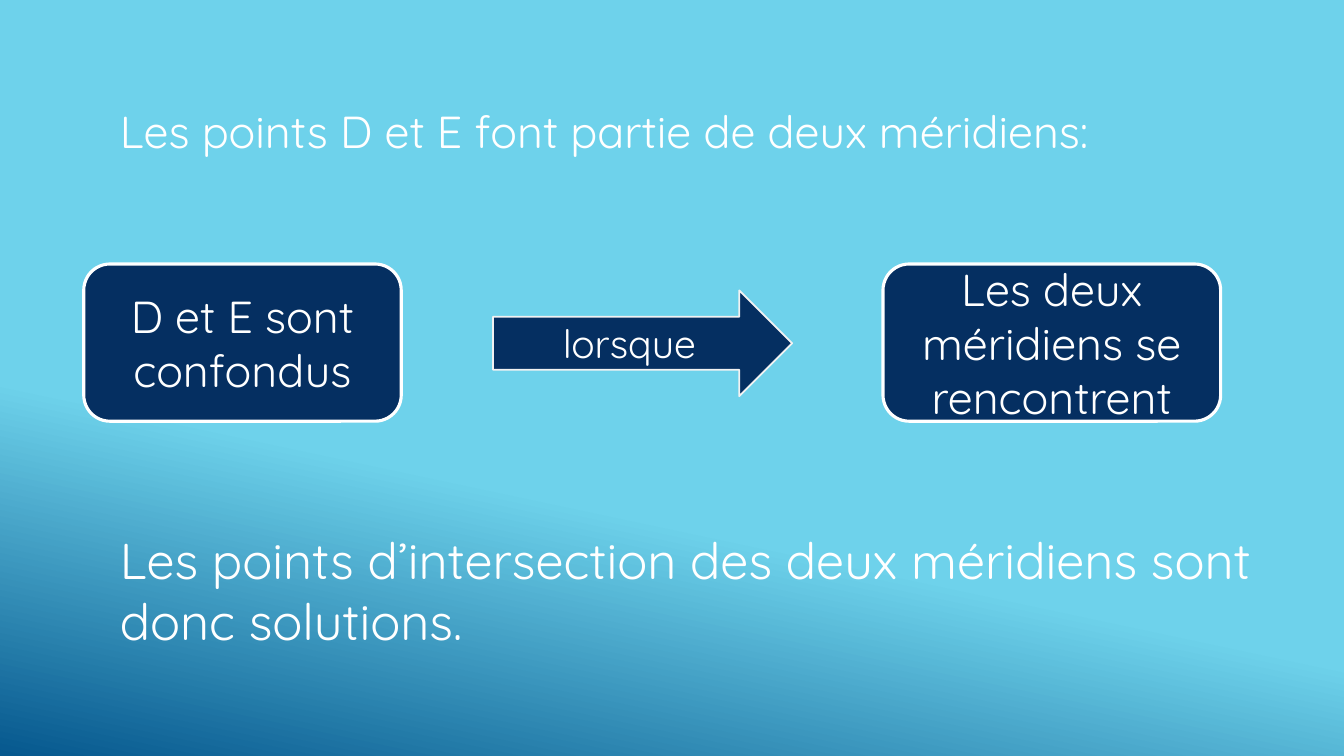
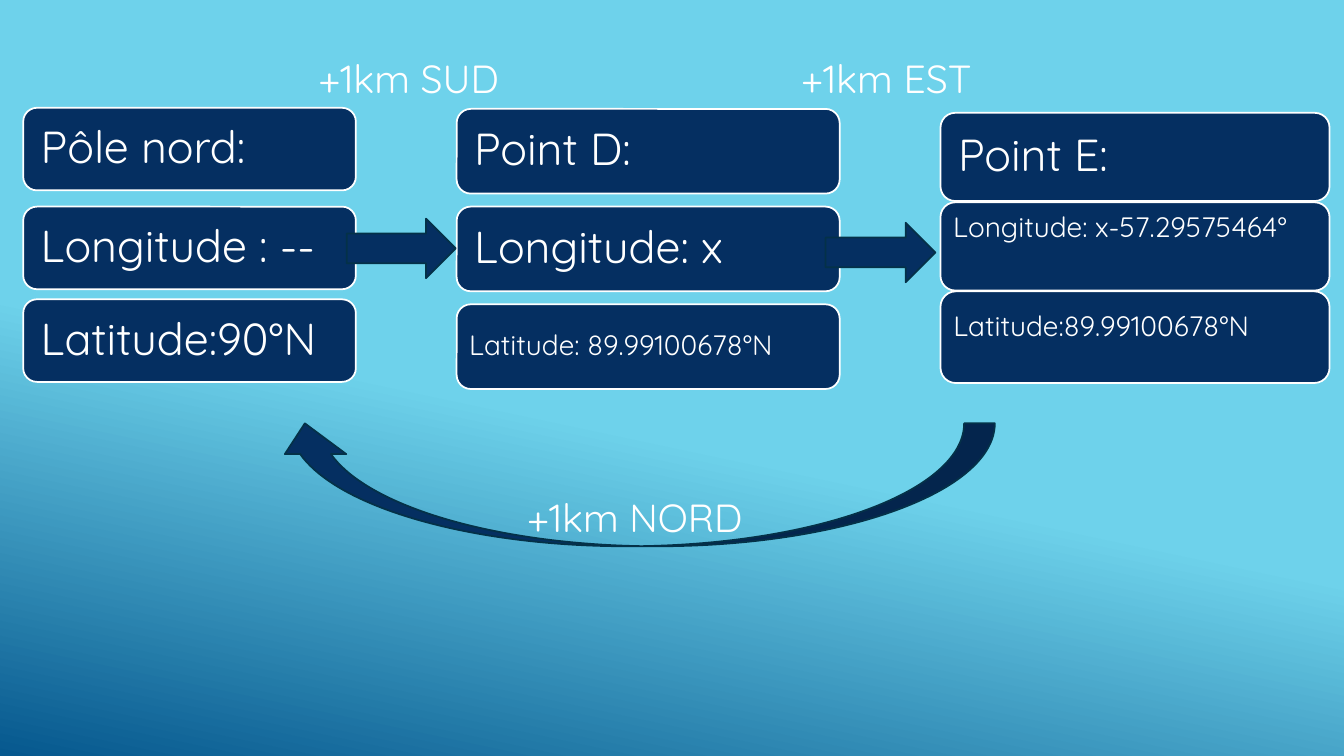
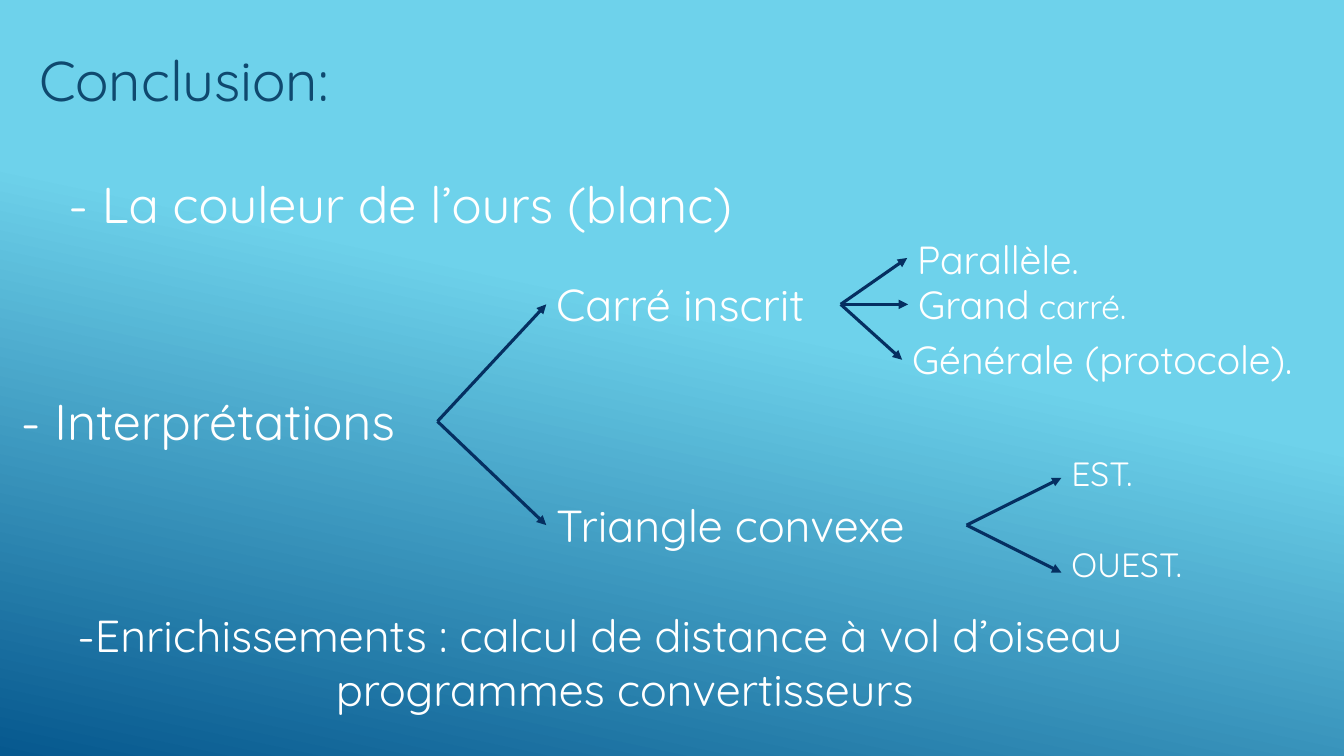
"""Build three slides on meridians, the bear's walk and the conclusion."""
from dataclasses import dataclass

from lxml.etree import SubElement
from pptx import Presentation
from pptx.dml.color import RGBColor
from pptx.enum.shapes import MSO_CONNECTOR as Connector, MSO_SHAPE as Shape
from pptx.enum.text import MSO_ANCHOR as Anchor, MSO_AUTO_SIZE as AutoSize, PP_ALIGN as Align
from pptx.oxml.ns import qn
from pptx.util import Pt


@dataclass(frozen=True)
class Theme:
    """Colours, font and type sizes shared by the slides."""
    font: str = "Quicksand"
    white: str = "FFFFFF"
    pale: str = "F2F2F2"
    navy: str = "052F61"
    outline: str = "043148"
    heading: str = "0F496F"
    sky: str = "6ED2EB"
    deep: str = "06588E"
    gradient_angle: int = 258
    title: int = 40
    lead: int = 36
    body: int = 32
    label: int = 28
    small: int = 24
    detail: int = 20
    thick: float = 2.25
    thin: float = 1.25


THEME = Theme()

MERIDIAN_TEXTS = [
    ("Les points D et E font partie de deux méridiens:", (78.5, 70.6, 760.3, 46), THEME.body),
    ("Les points d’intersection des deux méridiens sont donc solutions.",
     (78.5, 374.4, 825.1, 94.3), THEME.lead),
]
MERIDIAN_BOXES = [
    ("D et E sont confondus", (59.8, 188.6, 226.8, 112.3)),
    ("Les deux méridiens se rencontrent", (630.7, 188.6, 241.2, 112.3)),
]
MERIDIAN_ARROW = ("lorsque", (352.1, 207.4, 213.8, 75.6))

PLACES = [
    {"left": 16.6, "width": 237.6, "cells": [
        ("Pôle nord:", 77, 59, THEME.body, 0),
        ("Longitude : --", 147.6, 59, THEME.body, 0),
        ("Latitude:90°N", 213.8, 59, THEME.body, 0)]},
    {"left": 326.2, "width": 273.6, "cells": [
        ("Point D:", 77.8, 60.5, THEME.body, 0),
        ("Longitude: x", 147.6, 60.5, THEME.body, 0),
        ("Latitude: 89.99100678°N", 217.4, 60.5, THEME.detail, 0)]},
    {"left": 671.8, "width": 277.9, "cells": [
        ("Point E:", 80.6, 63, THEME.body, 0),
        ("Longitude: x-57.29575464°", 144.5, 63, THEME.detail, 25),
        ("Latitude:89.99100678°N", 208.1, 65.5, THEME.detail, 14)]},
]
WALK_ARROWS = [
    (Shape.RIGHT_ARROW, (247.7, 156.2, 77.8, 42.5), 0),
    (Shape.RIGHT_ARROW, (589.7, 159.1, 78.5, 42.5), 0),
    (Shape.CURVED_DOWN_ARROW, (195.8, 302.4, 514.8, 87.8), 180),
]
WALK_LABELS = [
    ("+1km SUD", (220.3, 35.3, 162, 41)),
    ("+1km EST", (565.2, 35.3, 157, 41)),
    ("+1km NORD", (369.4, 348.5, 306.7, 41)),
]

CONCLUSION_TEXTS = [
    ("- La couleur de l’ours (blanc)", (41.8, 120.2, 657.4, 51.1), THEME.lead),
    ("- Interprétations", (7.9, 275, 303.8, 51.1), THEME.lead),
    ("Carré inscrit", (390.2, 194.4, 210.2, 46), THEME.body),
    ("Triangle convexe", (390.2, 352.1, 300.2, 46), THEME.body),
    ("Parallèle.", (648, 164.2, 146.2, 41), THEME.label),
    ("Générale (protocole).", (644.4, 236.2, 311, 41), THEME.label),
    ("EST.", (758.2, 319.7, 186.5, 36), THEME.small),
    ("OUEST.", (758.2, 385.2, 157, 36), THEME.small),
]
BIG_SQUARE = ("Grand", " carré.", (648.7, 196.6, 181.4, 41))
ENRICHMENTS = ("-Enrichissements : calcul de distance à vol d’oiseau\nprogrammes convertisseurs",
               (41.8, 430.6, 822.2, 85))
ENRICHMENT_INDENTS = [("marR", 48), ("marL", 35)]
BRANCHES = [
    ((312.5, 301), [(390.2, 217.4), (390.2, 375.1)]),
    ((600.5, 217.4), [(648, 184.3), (648.7, 217.4), (644.4, 257)]),
    ((690.5, 375.1), [(758.2, 341.3), (758.2, 409)]),
]


def rgb(color):
    """Turn a hex string into a colour."""
    return RGBColor.from_string(color)


def apply(target, values):
    """Set each named attribute on the target."""
    for name, value in values.items():
        setattr(target, name, value)


def add_run(paragraph, text, size, color=THEME.white):
    """Append one run in the shared font."""
    run = paragraph.add_run()
    run.text = text
    apply(run.font, {"name": THEME.font, "size": Pt(size)})
    run.font.color.rgb = rgb(color)


def write(frame, text, size, color=THEME.white, **paragraph_format):
    """Write one paragraph for each line of text."""
    for index, line in enumerate(text.split("\n")):
        paragraph = frame.add_paragraph() if index else frame.paragraphs[0]
        apply(paragraph, paragraph_format)
        add_run(paragraph, line, size, color)


def add_text(slide, text, box, size, color=THEME.white, wrap=True, align=Align.LEFT):
    """Add a text box and return its frame."""
    frame = slide.shapes.add_textbox(*map(Pt, box)).text_frame
    apply(frame, {"word_wrap": wrap, "auto_size": AutoSize.SHAPE_TO_FIT_TEXT})
    write(frame, text, size, color, alignment=align)
    return frame


def add_block(slide, kind, box, line, width):
    """Add a navy shape with an outline."""
    shape = slide.shapes.add_shape(kind, *map(Pt, box))
    shape.shadow.inherit = False
    shape.fill.solid()
    shape.fill.fore_color.rgb = rgb(THEME.navy)
    shape.line.color.rgb = rgb(line)
    shape.line.width = Pt(width)
    apply(shape.text_frame, {"word_wrap": True, "vertical_anchor": Anchor.MIDDLE})
    return shape


def add_arrow(slide, start, end):
    """Add a straight line with a triangle at its end."""
    connector = slide.shapes.add_connector(Connector.STRAIGHT, *map(Pt, start + end))
    connector.line.color.rgb = rgb(THEME.navy)
    connector.line.width = Pt(THEME.thick)
    SubElement(connector.line._get_or_add_ln(), qn("a:tailEnd"), type="triangle")
    SubElement(connector._element.spPr, qn("a:effectLst"))


def add_slide(presentation, sky_end):
    """Add a blank slide whose sky colour holds until sky_end."""
    slide = presentation.slides.add_slide(presentation.slide_layouts[6])
    fill = slide.background.fill
    fill.gradient()
    fill.gradient_angle = THEME.gradient_angle
    for stop, position, color in zip(fill.gradient_stops, (sky_end, 1), (THEME.sky, THEME.deep)):
        stop.position = position
        stop.color.rgb = rgb(color)
    return slide


def build_meridians(presentation):
    """Build the slide on the two meridians."""
    slide = add_slide(presentation, 0.64)
    for index, (text, box, size) in enumerate(MERIDIAN_TEXTS):
        add_text(slide, text, box, size, wrap=index > 0)
    for text, box in MERIDIAN_BOXES:
        shape = add_block(slide, Shape.ROUNDED_RECTANGLE, box, THEME.white, THEME.thick)
        write(shape.text_frame, text, THEME.body, alignment=Align.CENTER)
    text, box = MERIDIAN_ARROW
    arrow = add_block(slide, Shape.RIGHT_ARROW, box, THEME.pale, THEME.thin)
    write(arrow.text_frame, text, THEME.label, alignment=Align.CENTER)


def build_walk(presentation):
    """Build the slide on the walk between the three places."""
    slide = add_slide(presentation, 0.56)
    for place in PLACES:
        for text, top, height, size, lift in place["cells"]:
            box = (place["left"], top, place["width"], height)
            frame = add_block(slide, Shape.ROUNDED_RECTANGLE, box, THEME.white, THEME.thin).text_frame
            inset = size * 0.3
            apply(frame, {"margin_left": Pt(inset), "margin_right": Pt(inset),
                          "margin_top": Pt(inset), "margin_bottom": Pt(inset + lift)})
            write(frame, text, size, alignment=Align.LEFT, line_spacing=0.9)
    for kind, box, rotation in WALK_ARROWS:
        add_block(slide, kind, box, THEME.outline, THEME.thin).rotation = rotation
    for text, box in WALK_LABELS:
        add_text(slide, text, box, THEME.label)


def build_conclusion(presentation):
    """Build the slide with the tree of interpretations."""
    slide = add_slide(presentation, 0.43)
    add_text(slide, "Conclusion:", (20.9, 28.8, 678.2, 55.4), THEME.title, THEME.heading)
    for text, box, size in CONCLUSION_TEXTS:
        add_text(slide, text, box, size)
    first, second, box = BIG_SQUARE
    frame = add_text(slide, first, box, THEME.label)
    add_run(frame.paragraphs[0], second, THEME.small)
    text, box = ENRICHMENTS
    frame = add_text(slide, text, box, THEME.body, align=Align.CENTER)
    for paragraph, (side, indent) in zip(frame.paragraphs, ENRICHMENT_INDENTS):
        paragraph._p.get_or_add_pPr().set(side, str(Pt(indent)))
    for start, tips in BRANCHES:
        for tip in tips:
            add_arrow(slide, start, tip)


def main():
    """Build and save the presentation."""
    presentation = Presentation()
    apply(presentation, {"slide_width": Pt(960), "slide_height": Pt(540)})
    for build in (build_meridians, build_walk, build_conclusion):
        build(presentation)
    presentation.save("out.pptx")


if __name__ == "__main__":
    main()
